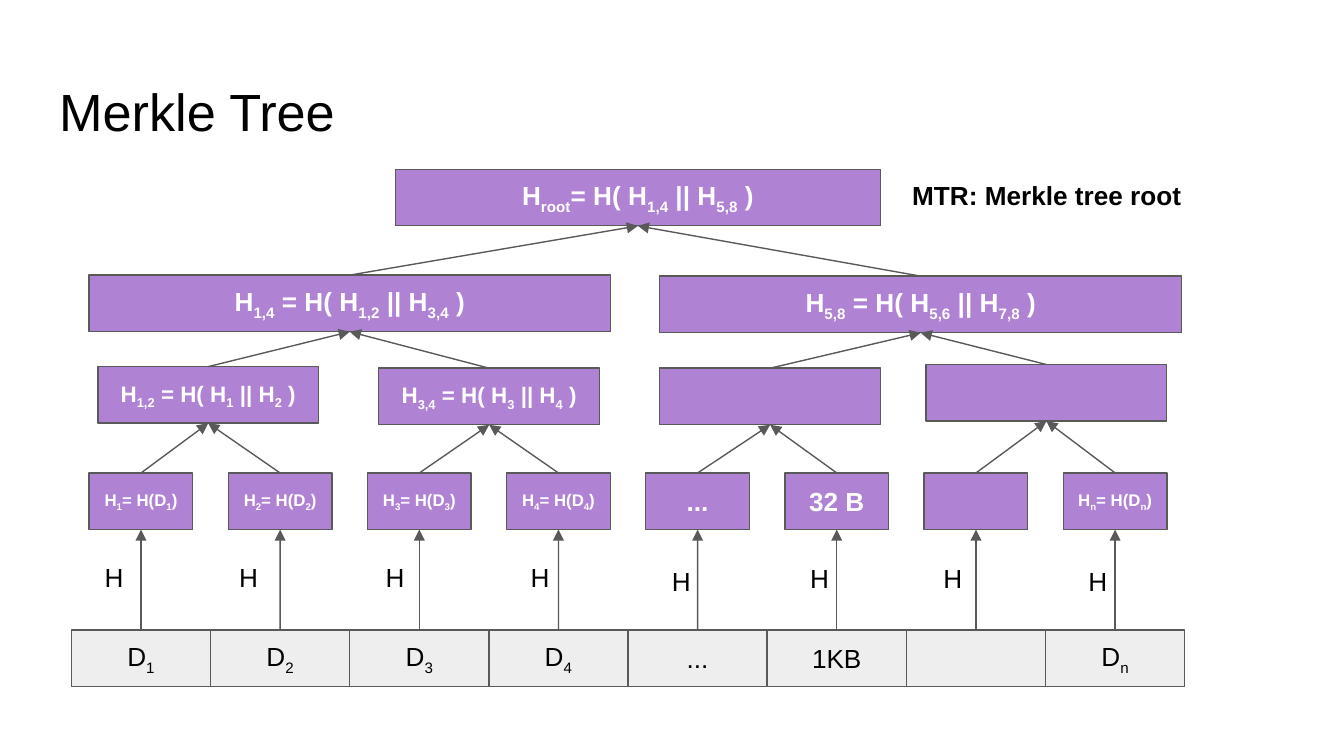
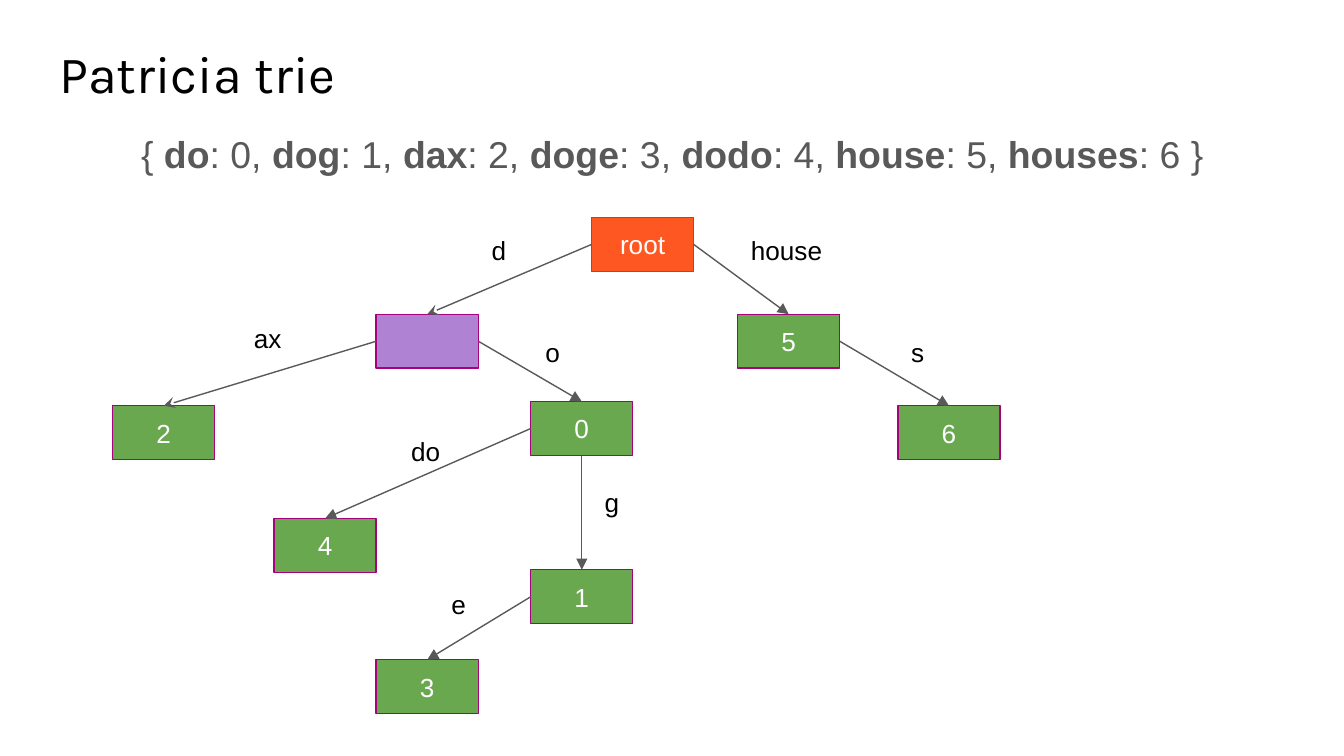
from lxml import etree
from pptx import Presentation
from pptx.dml.color import RGBColor
from pptx.enum.shapes import MSO_CONNECTOR, MSO_SHAPE
from pptx.enum.text import MSO_ANCHOR, PP_ALIGN
from pptx.oxml.ns import qn
from pptx.util import Cm, Pt

RECTANGLE = MSO_SHAPE.RECTANGLE
STRAIGHT = MSO_CONNECTOR.STRAIGHT
LEFT, CENTER = PP_ALIGN.LEFT, PP_ALIGN.CENTER
TOP, MIDDLE = MSO_ANCHOR.TOP, MSO_ANCHOR.MIDDLE
TOP_SIDE, LEFT_SIDE, BOTTOM_SIDE, RIGHT_SIDE = range(4)

COLORS = {
    "black": "000000",
    "white": "FFFFFF",
    "gray": "595959",
    "data": "EEEEEE",
    "hash": "AF82D4",
    "root": "FF5722",
    "root_line": "E91E63",
    "value": "6AA84F",
    "node_line": "A8017E",
}
TITLE = {"size": 28}


def add_text(slide, text, x, y, w, h, *, fill=None, line="gray", color="black",
             size=14, font="Arial", bold=False, marked="sub", spacing=None, after=0,
             align=None):
    """Add text, boxed if a fill is given; ~ encloses subscript or bold parts."""
    bounds = Cm(x), Cm(y), Cm(w), Cm(h)
    if fill:
        box = slide.shapes.add_shape(RECTANGLE, *bounds)
        box.shadow.inherit = False
        box.fill.solid()
        box.fill.fore_color.rgb = RGBColor.from_string(COLORS[fill])
        box.line.color.rgb = RGBColor.from_string(COLORS[line])
        box.line.width = Pt(0.75)
    else:
        box = slide.shapes.add_textbox(*bounds)
    frame = box.text_frame
    frame.word_wrap = True
    frame.vertical_anchor = MIDDLE if fill else TOP
    frame.margin_left = frame.margin_right = Cm(0.25)
    frame.margin_top = frame.margin_bottom = Cm(0.25)
    paragraph = frame.paragraphs[0]
    paragraph.alignment = align or (CENTER if fill else LEFT)
    paragraph.space_after = Pt(after)
    if spacing:
        paragraph.line_spacing = spacing
    for i, part in enumerate(text.split("~")):
        if not part:
            continue
        run = paragraph.add_run()
        run.text = part
        run.font.name = font
        run.font.size = Pt(size)
        run.font.color.rgb = RGBColor.from_string(COLORS[color])
        run.font.bold = bold or (i % 2 == 1 and marked == "bold")
        if i % 2 == 1 and marked == "sub":
            run.font._element.set("baseline", "-25000")
    return box


def add_arrow(slide, start, start_side, end, end_side, head="triangle"):
    arrow = slide.shapes.add_connector(STRAIGHT, 0, 0, 0, 0)
    arrow.begin_connect(start, start_side)
    arrow.end_connect(end, end_side)
    arrow.line.color.rgb = RGBColor.from_string(COLORS["gray"])
    arrow.line.width = Pt(0.75)
    etree.SubElement(arrow.line._get_or_add_ln(), qn("a:tailEnd"), type=head)
    etree.SubElement(arrow._element.spPr, qn("a:effectLst"))


prs = Presentation()
prs.slide_width, prs.slide_height = Cm(25.4), Cm(14.29)
blank = prs.slide_layouts[6]

# Slide 1: Merkle tree
merkle = prs.slides.add_slide(blank)
add_text(merkle, "Merkle Tree", 0.87, 1.25, 23.67, 1.6, **TITLE)
hash_style = {"fill": "hash", "color": "white", "bold": True}
ROW_H = 1.07

# Data blocks, their hashes and the H labels between them
DATA_X, DATA_W, HASH_W = 1.35, 2.63, 1.96
data_texts = ["D~1~", "D~2~", "D~3~", "D~4~", "...", "1KB", "", "D~n~"]
hash_texts = ["1", "2", "3", "4", "...", "32 B", "", "n"]
label_spots = [(1.73, 10.36), (4.27, 10.36), (7.04, 10.36), (9.78, 10.36),
               (12.45, 10.44), (15.06, 10.39), (17.58, 10.39), (20.32, 10.44)]
leaves = []
for i, (data_text, hash_text, spot) in enumerate(zip(data_texts, hash_texts, label_spots)):
    x = DATA_X + i * DATA_W
    data = add_text(merkle, data_text, x, 11.91, DATA_W, ROW_H, fill="data")
    is_formula = data_text.startswith("D")
    if is_formula:
        hash_text = f"H~{hash_text}~= H(D~{hash_text}~)"
    leaf = add_text(merkle, hash_text, x + (DATA_W - HASH_W) / 2, 8.94, HASH_W, ROW_H,
                    size=9 if is_formula else 14, **hash_style)
    add_arrow(merkle, data, TOP_SIDE, leaf, BOTTOM_SIDE)
    add_text(merkle, "H", *spot, 0.81, ROW_H)
    leaves.append(leaf)

# Upper levels: each node hashes two children of the level below
levels = [
    (12, [("H~1,2~ = H( H~1~ || H~2~ )", 1.85, 6.93, 4.17),
          ("H~3,4~ = H( H~3~ || H~4~ )", 7.16, 6.96, 4.17),
          ("", 12.47, 6.96, 4.17),
          ("", 17.5, 6.89, 4.55)]),
    (14, [("H~1,4~ = H( H~1,2~ || H~3,4~ )", 1.68, 5.2, 9.86),
          ("H~5,8~ = H( H~5,6~ || H~7,8~ )", 12.47, 5.22, 9.86)]),
    (14, [("H~root~= H( H~1,4~ || H~5,8~ )", 7.47, 3.2, 9.17)]),
]
children = leaves
for size, level in levels:
    parents = []
    for i, (text, x, y, w) in enumerate(level):
        parent = add_text(merkle, text, x, y, w, ROW_H, size=size, **hash_style)
        for child in children[2 * i:2 * i + 2]:
            add_arrow(merkle, child, TOP_SIDE, parent, BOTTOM_SIDE)
        parents.append(parent)
    children = parents
add_text(merkle, "MTR: Merkle tree root", 16.99, 3.15, 7.06, ROW_H, bold=True)

# Slide 2: Patricia trie
patricia = prs.slides.add_slide(blank)
add_text(patricia, "Patricia trie", 0.87, 0.53, 23.67, 1.6, font="Karla", **TITLE)
add_text(patricia,
         "{ ~do~: 0, ~dog~: 1, ~dax~: 2, ~doge~: 3, ~dodo~: 4, ~house~: 5, ~houses~: 6 }",
         0.87, 2.11, 23.67, 1.6, size=20, color="gray", marked="bold",
         align=CENTER, spacing=1.15, after=16)

# Trie nodes
node_spots = {
    "root": (11.18, 4.11), "": (7.11, 5.94), "0": (10.03, 7.59),
    "1": (10.03, 10.77), "2": (2.13, 7.67), "3": (7.11, 12.47),
    "4": (5.18, 9.8), "5": (13.94, 5.94), "6": (16.97, 7.67),
}
special_styles = {"root": ("root", "root_line"), "": ("hash", "node_line")}
nodes = {}
for text, spot in node_spots.items():
    fill, line = special_styles.get(text, ("value", "node_line"))
    nodes[text] = add_text(patricia, text, *spot, 1.93, 1.02, fill=fill, line=line,
                           color="white")

# Edges: parent, side, child, arrowhead, then label with left, top and width
edges = [
    ("root", LEFT_SIDE, "", "stealth", "d", 9.04, 4.19, 0.81),
    ("", LEFT_SIDE, "2", "stealth", "ax", 4.55, 5.84, 1.12),
    ("", RIGHT_SIDE, "0", "triangle", "o", 10.06, 6.1, 0.81),
    ("0", LEFT_SIDE, "4", "triangle", "do", 7.52, 7.98, 1.12),
    ("0", BOTTOM_SIDE, "1", "triangle", "g", 11.18, 8.94, 0.81),
    ("1", LEFT_SIDE, "3", "triangle", "e", 8.28, 10.87, 0.81),
    ("root", RIGHT_SIDE, "5", "triangle", "house", 13.94, 4.19, 1.93),
    ("5", RIGHT_SIDE, "6", "triangle", "s", 16.97, 6.1, 0.81),
]
for parent, side, child, head, label, x, y, w in edges:
    add_arrow(patricia, nodes[parent], side, nodes[child], TOP_SIDE, head)
    add_text(patricia, label, x, y, w, 0.86)

prs.save("out.pptx")
